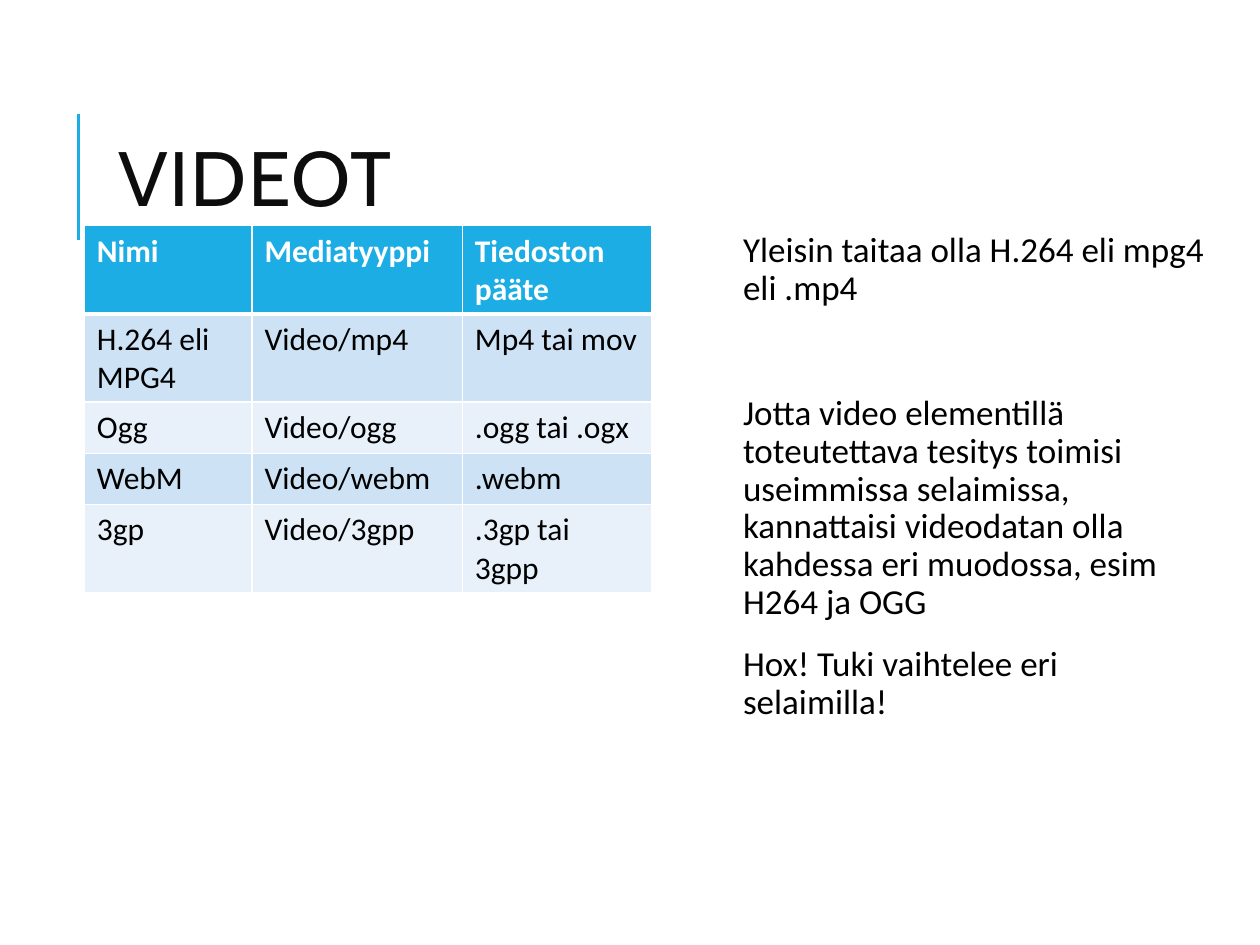
from lxml.etree import SubElement
from pptx import Presentation
from pptx.dml.color import RGBColor
from pptx.enum.shapes import MSO_CONNECTOR
from pptx.enum.text import MSO_ANCHOR
from pptx.oxml.ns import qn
from pptx.util import Cm, Pt

COLORS = {
    "accent": "1CADE4",
    "title": "0D0D0D",
    "text": "000000",
    "white": "FFFFFF",
    "odd_row": "CDE3F5",
    "even_row": "E8F1FA",
}


def write(paragraph, text, size=18, font="Calibri", color="text", bold=False,
          line_spacing=None, before=0, after=0, tracking=None):
    run = paragraph.add_run()
    run.text = text
    run.font.size = Pt(size)
    run.font.name = font
    run.font.bold = bold
    run.font.color.rgb = RGBColor.from_string(COLORS[color])
    if tracking:
        run.font._element.set("spc", str(tracking * 100))
    if line_spacing:
        paragraph.line_spacing = line_spacing
    paragraph.space_before = Pt(before)
    paragraph.space_after = Pt(after)


def add_border(cell, side, width):
    line = SubElement(cell._tc.get_or_add_tcPr(), qn(f"a:ln{side}"), w=str(Pt(width)))
    fill = SubElement(line, qn("a:solidFill"))
    SubElement(fill, qn("a:srgbClr"), val=COLORS["white"])


presentation = Presentation()
presentation.slide_width = Cm(25.4)
presentation.slide_height = Cm(19.05)
slide = presentation.slides.add_slide(presentation.slide_layouts[6])

# Accent line beside the title
accent_line = slide.shapes.add_connector(
    MSO_CONNECTOR.STRAIGHT, Cm(1.58), Cm(4.83), Cm(1.58), Cm(2.29))
accent_line.line.color.rgb = RGBColor.from_string(COLORS["accent"])
accent_line.line.width = Pt(1.5)
SubElement(accent_line._element.spPr, qn("a:effectLst"))

# Title
title = slide.shapes.add_textbox(Cm(2.13), Cm(1.63), Cm(20.24), Cm(4.17))
title.text_frame.word_wrap = True
title.text_frame.vertical_anchor = MSO_ANCHOR.MIDDLE
write(title.text_frame.paragraphs[0], "VIDEOT", size=44, font="Cabin",
      color="title", line_spacing=0.8, tracking=1)

# Table of video formats
rows = [
    ("Nimi", "Mediatyyppi", "Tiedoston pääte"),
    ("H.264 eli MPG4", "Video/mp4", "Mp4 tai mov"),
    ("Ogg", "Video/ogg", ".ogg tai .ogx"),
    ("WebM", "Video/webm", ".webm"),
    ("3gp", "Video/3gpp", ".3gp tai 3gpp"),
]
column_widths = [3.38, 4.24, 3.81]
row_height = 1.03
table = slide.shapes.add_table(
    len(rows), len(column_widths), Cm(1.7), Cm(4.55),
    Cm(sum(column_widths)), Cm(row_height * len(rows))).table
for column, width in zip(table.columns, column_widths):
    column.width = Cm(width)
for row_index, texts in enumerate(rows):
    table.rows[row_index].height = Cm(row_height)
    header = row_index == 0
    fill_name = "accent" if header else ("even_row", "odd_row")[row_index % 2]
    for column_index, text in enumerate(texts):
        cell = table.cell(row_index, column_index)
        write(cell.text_frame.paragraphs[0], text, bold=header,
              color="white" if header else "text")
        # The rule below the header is thicker than the others
        add_border(cell, "L", 1)
        add_border(cell, "R", 1)
        add_border(cell, "T", 3 if row_index == 1 else 1)
        add_border(cell, "B", 3 if header else 1)
        cell.fill.solid()
        cell.fill.fore_color.rgb = RGBColor.from_string(COLORS[fill_name])

# Notes beside the table, with the space before each
notes = [
    ("Yleisin taitaa olla H.264 eli mpg4 eli .mp4", 0),
    ("Jotta video elementillä toteutettava tesitys toimisi useimmissa selaimissa, "
     "kannattaisi videodatan olla kahdessa eri muodossa, esim H264 ja OGG", 48),
    ("Hox! Tuki vaihtelee eri selaimilla!", 12),
]
body = slide.shapes.add_textbox(Cm(14.6), Cm(4.55), Cm(9.91), Cm(11.18))
frame = body.text_frame
frame.word_wrap = True
frame.margin_left = Cm(0.38)
frame.margin_top = frame.margin_right = frame.margin_bottom = Cm(0.13)
for index, (text, before) in enumerate(notes):
    paragraph = frame.add_paragraph() if index else frame.paragraphs[0]
    write(paragraph, text, size=20, line_spacing=0.9, before=before, after=2)

presentation.save("out.pptx")
